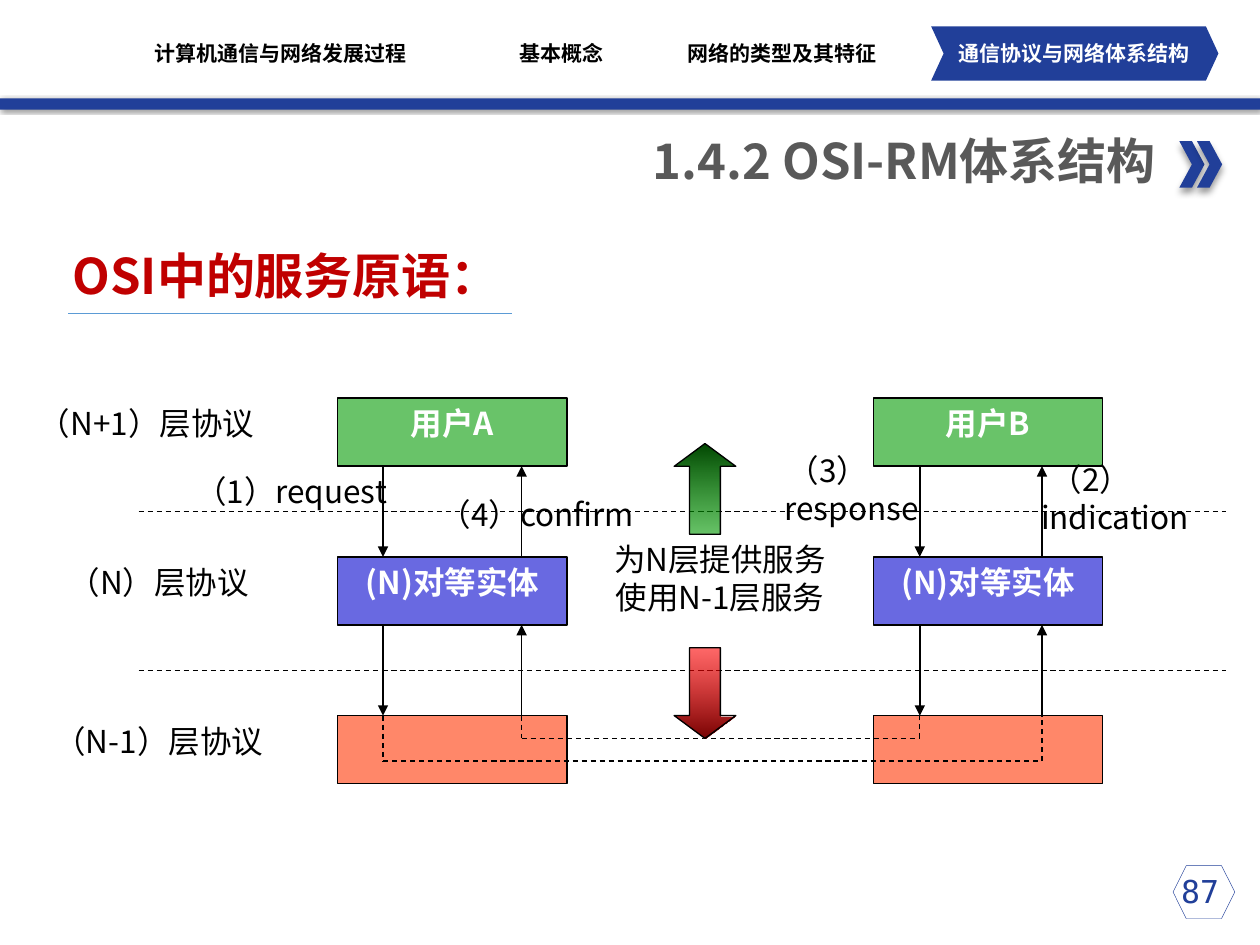
from dataclasses import dataclass
from typing import Optional

from lxml.etree import SubElement
from pptx import Presentation
from pptx.dml.color import RGBColor
from pptx.enum.dml import MSO_LINE
from pptx.enum.shapes import MSO_CONNECTOR, MSO_SHAPE
from pptx.enum.text import MSO_ANCHOR, PP_ALIGN
from pptx.oxml.ns import qn
from pptx.util import Emu, Pt

EMU_PER_PX = 9144  # 100 px to the inch

NAVY = RGBColor(0x21, 0x3F, 0x99)
WHITE = RGBColor(0xFF, 0xFF, 0xFF)
BLACK = RGBColor(0x00, 0x00, 0x00)
GRAY = RGBColor(0x59, 0x59, 0x59)
CRIMSON = RGBColor(0xC0, 0x00, 0x00)
SKY = RGBColor(0x5B, 0x9B, 0xD5)
GREEN = RGBColor(0x00, 0x99, 0x00)
DARK_GREEN = RGBColor(0x00, 0x47, 0x00)
BLUE = RGBColor(0x00, 0x00, 0xCC)
ORANGE = RGBColor(0xFF, 0x33, 0x00)
RED = RGBColor(0xFF, 0x00, 0x00)
DARK_RED = RGBColor(0x76, 0x00, 0x00)

BODY_FONT = "Noto Sans CJK SC"
NAVIGATION_FONT = "Roboto Condensed"
NUMBER_FONT = "DejaVu Sans Mono"

BOX_WIDTH, BOX_HEIGHT = 182, 54
LAYER_TOPS = (316, 442, 568)
LAYER_GAP = LAYER_TOPS[1] - LAYER_TOPS[0] - BOX_HEIGHT
OPACITY = 59


@dataclass(frozen=True)
class TextStyle:
    size: int = 18
    color: RGBColor = BLACK
    bold: bool = False
    font: str = BODY_FONT
    align: PP_ALIGN = PP_ALIGN.CENTER
    left_margin: int = 0
    hanging: int = 0


@dataclass(frozen=True)
class Label:
    text: str
    left: int
    top: int
    width: int
    height: int
    style: TextStyle
    tight: bool = False  # no insets, centred vertically


@dataclass(frozen=True)
class Station:
    left: int
    down_x: int
    up_x: int
    user: str


@dataclass(frozen=True)
class Shadow:
    blur: int
    distance: int
    degrees: int


DIAGRAM = TextStyle(left_margin=38, hanging=38)
LAYER_FIRST = TextStyle(left_margin=38, hanging=38, align=PP_ALIGN.JUSTIFY)
BOX_TEXT = TextStyle(color=WHITE, bold=True, left_margin=38, hanging=38)
NAVIGATION = TextStyle(12, BLACK, True, NAVIGATION_FONT)
NAVIGATION_ACTIVE = TextStyle(12, WHITE, True, NAVIGATION_FONT)

LABELS = (
    Label("87", 909, 687, 87, 40, TextStyle(18, NAVY, font=NUMBER_FONT)),
    Label("1.4.2 OSI-RM体系结构", 232, 99, 695, 57,
          TextStyle(28, GRAY, True, align=PP_ALIGN.RIGHT)),
    Label("通信协议与网络体系结构", 727, 32, 251, 20, NAVIGATION_ACTIVE, True),
    Label("计算机通信与网络发展过程", 110, 32, 226, 20, NAVIGATION, True),
    Label("基本概念", 373, 32, 145, 20, NAVIGATION, True),
    Label("网络的类型及其特征", 538, 32, 165, 20, NAVIGATION, True),
    Label("OSI中的服务原语：", 30, 190, 387, 57,
          TextStyle(28, CRIMSON, True, align=PP_ALIGN.LEFT, left_margin=18)),
    Label("为N层提供服务\n使用N-1层服务", 462, 424, 219, 90, DIAGRAM),
    Label("（2）indication", 769, 360, 194, 54, DIAGRAM),
    Label("（3）response", 572, 353, 170, 54, DIAGRAM),
    Label("（1）request", 134, 370, 194, 54, DIAGRAM),
    Label("（4）confirm", 329, 388, 194, 54, DIAGRAM),
    Label("（N+1）层协议", 21, LAYER_TOPS[0], 210, 54, LAYER_FIRST),
    Label("（N）层协议", 21, LAYER_TOPS[1], 210, 54, DIAGRAM),
    Label("（N-1）层协议", 21, LAYER_TOPS[2], 210, 54, DIAGRAM),
)

STATIONS = (Station(268, 304, 414, "用户A"), Station(693, 730, 827, "用户B"))


def px(length: int) -> Emu:
    return Emu(length * EMU_PER_PX)


def write_text(text_frame, text: str, style: TextStyle) -> None:
    text_frame.word_wrap = True
    text_frame.text = text
    for paragraph in text_frame.paragraphs:
        paragraph.alignment = style.align
        properties = paragraph._p.get_or_add_pPr()
        properties.set("marL", str(px(style.left_margin)))
        properties.set("indent", str(px(-style.hanging)))
        for run in paragraph.runs:
            run.font.size = Pt(style.size)
            run.font.bold = style.bold
            run.font.color.rgb = style.color
            run.font.name = style.font
            east_asian = SubElement(run.font._element, qn("a:ea"))
            east_asian.set("typeface", style.font)


def add_label(slide, label: Label) -> None:
    text_box = slide.shapes.add_textbox(
        px(label.left), px(label.top), px(label.width), px(label.height))
    text_frame = text_box.text_frame
    if label.tight:
        text_frame.margin_left = text_frame.margin_right = 0
        text_frame.margin_top = text_frame.margin_bottom = 0
        text_frame.vertical_anchor = MSO_ANCHOR.MIDDLE
    write_text(text_frame, label.text, label.style)


def set_opacity(color_element, percent: int) -> None:
    SubElement(color_element, qn("a:alpha")).set("val", str(percent * 1000))


def add_figure(slide, kind: MSO_SHAPE, left: int, top: int, width: int, height: int,
               fill: Optional[RGBColor] = None, opacity: int = 100,
               line: Optional[RGBColor] = None, line_width: float = 0.75,
               shadow: Optional[Shadow] = None):
    shape = slide.shapes.add_shape(kind, px(left), px(top), px(width), px(height))
    shape.shadow.inherit = False
    if fill is None:
        shape.fill.background()
    else:
        shape.fill.solid()
        shape.fill.fore_color.rgb = fill
        if opacity < 100:
            set_opacity(shape.element.spPr.find(".//" + qn("a:srgbClr")), opacity)
    if line is None:
        shape.line.fill.background()
    else:
        shape.line.color.rgb = line
        shape.line.width = Pt(line_width)
    if shadow:
        effects = shape.element.spPr.find(qn("a:effectLst"))
        outer = SubElement(effects, qn("a:outerShdw"), blurRad=str(Pt(shadow.blur)),
                           dist=str(Pt(shadow.distance)), dir=str(shadow.degrees * 60000))
        set_opacity(SubElement(outer, qn("a:srgbClr"), val=str(BLACK)), 40)
    return shape


def add_block_arrow(slide, kind: MSO_SHAPE, top: int, stops: tuple) -> None:
    """Stops run from top to bottom as (colour, opacity)."""
    shape = add_figure(slide, kind, 535, top, 49, 72, line=BLACK)
    shape.adjustments[1] = 0.37
    shape.fill.gradient()
    shape.fill.gradient_angle = 270
    for stop, (color, _) in zip(shape.fill.gradient_stops, stops):
        stop.color.rgb = color
    color_elements = shape.element.spPr.findall(".//" + qn("a:gs") + "/" + qn("a:srgbClr"))
    for element, (_, opacity) in zip(color_elements, stops):
        set_opacity(element, opacity)


def add_line(slide, start: tuple[int, int], end: tuple[int, int], width: float = 0.75,
             color: RGBColor = BLACK, dashed: bool = False, arrow: bool = False) -> None:
    connector = slide.shapes.add_connector(
        MSO_CONNECTOR.STRAIGHT, px(start[0]), px(start[1]), px(end[0]), px(end[1]))
    connector.line.color.rgb = color
    connector.line.width = Pt(width)
    if dashed:
        connector.line.dash_style = MSO_LINE.DASH
    if arrow:
        SubElement(connector.line._get_or_add_ln(), qn("a:tailEnd"), type="triangle")
    SubElement(connector.element.spPr, qn("a:effectLst"))


def add_station(slide, station: Station) -> None:
    layers = ((GREEN, station.user), (BLUE, "(N)对等实体"), (ORANGE, ""))
    for top, (color, text) in zip(LAYER_TOPS, layers):
        box = add_figure(slide, MSO_SHAPE.RECTANGLE, station.left, top, BOX_WIDTH,
                         BOX_HEIGHT, color, OPACITY, BLACK)
        if text:
            box.text_frame.vertical_anchor = MSO_ANCHOR.TOP
            write_text(box.text_frame, text, BOX_TEXT)
    for top in LAYER_TOPS[:-1]:
        upper = top + BOX_HEIGHT
        lower = upper + LAYER_GAP
        add_line(slide, (station.down_x, upper), (station.down_x, lower), 1, arrow=True)
        add_line(slide, (station.up_x, lower), (station.up_x, upper), 1, arrow=True)


def add_loop(slide, left: int, right: int, depth: int) -> None:
    top = LAYER_TOPS[-1]
    corners = ((left, top), (left, top + depth), (right, top + depth), (right, top))
    for start, end in zip(corners, corners[1:]):
        add_line(slide, start, end, dashed=True)


def main() -> None:
    presentation = Presentation()
    presentation.slide_width, presentation.slide_height = px(1000), px(750)
    slide = presentation.slides.add_slide(presentation.slide_layouts[6])

    add_figure(slide, MSO_SHAPE.HEXAGON, 931, 687, 49, 42, line=NAVY, line_width=0.25)
    add_figure(slide, MSO_SHAPE.RECTANGLE, 0, 78, 1000, 9, NAVY, shadow=Shadow(2, 1, 45))
    for left in (936, 950):
        add_figure(slide, MSO_SHAPE.CHEVRON, left, 112, 20, 37, NAVY, shadow=Shadow(4, 3, 90))
    active_tab = add_figure(slide, MSO_SHAPE.CHEVRON, 739, 21, 228, 43, NAVY)
    active_tab.adjustments[0] = 0.23
    for label in LABELS:
        add_label(slide, label)
    for top in LAYER_TOPS[:-1]:
        divider = top + BOX_HEIGHT + LAYER_GAP // 2
        add_line(slide, (110, divider), (973, divider), dashed=True)
    for station in STATIONS:
        add_station(slide, station)
    first, second = STATIONS
    add_loop(slide, first.up_x, second.down_x, 18)
    add_loop(slide, first.down_x, second.up_x, 36)
    add_block_arrow(slide, MSO_SHAPE.DOWN_ARROW, 514, ((RED, OPACITY), (DARK_RED, 100)))
    add_block_arrow(slide, MSO_SHAPE.UP_ARROW, 352, ((DARK_GREEN, 100), (GREEN, OPACITY)))
    add_line(slide, (54, 249), (406, 249), 0.5, SKY)
    presentation.save("out.pptx")


if __name__ == "__main__":
    main()
